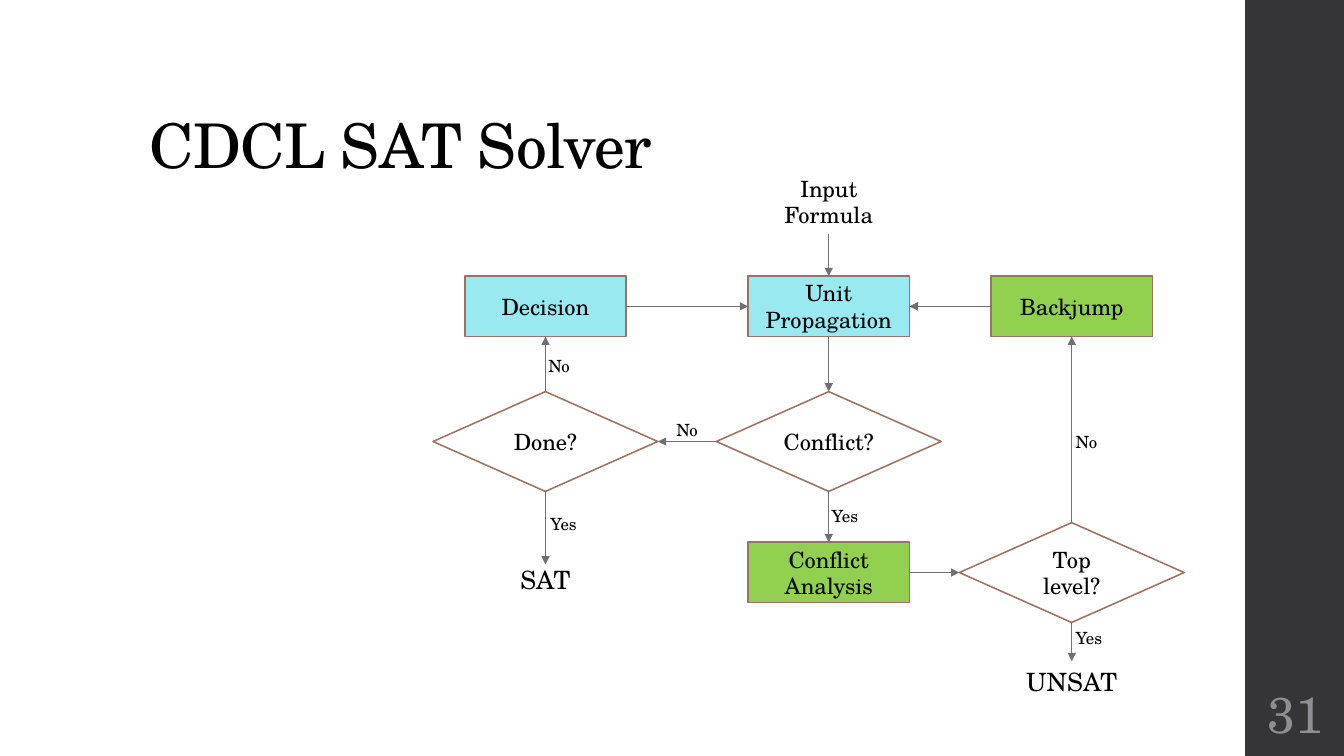
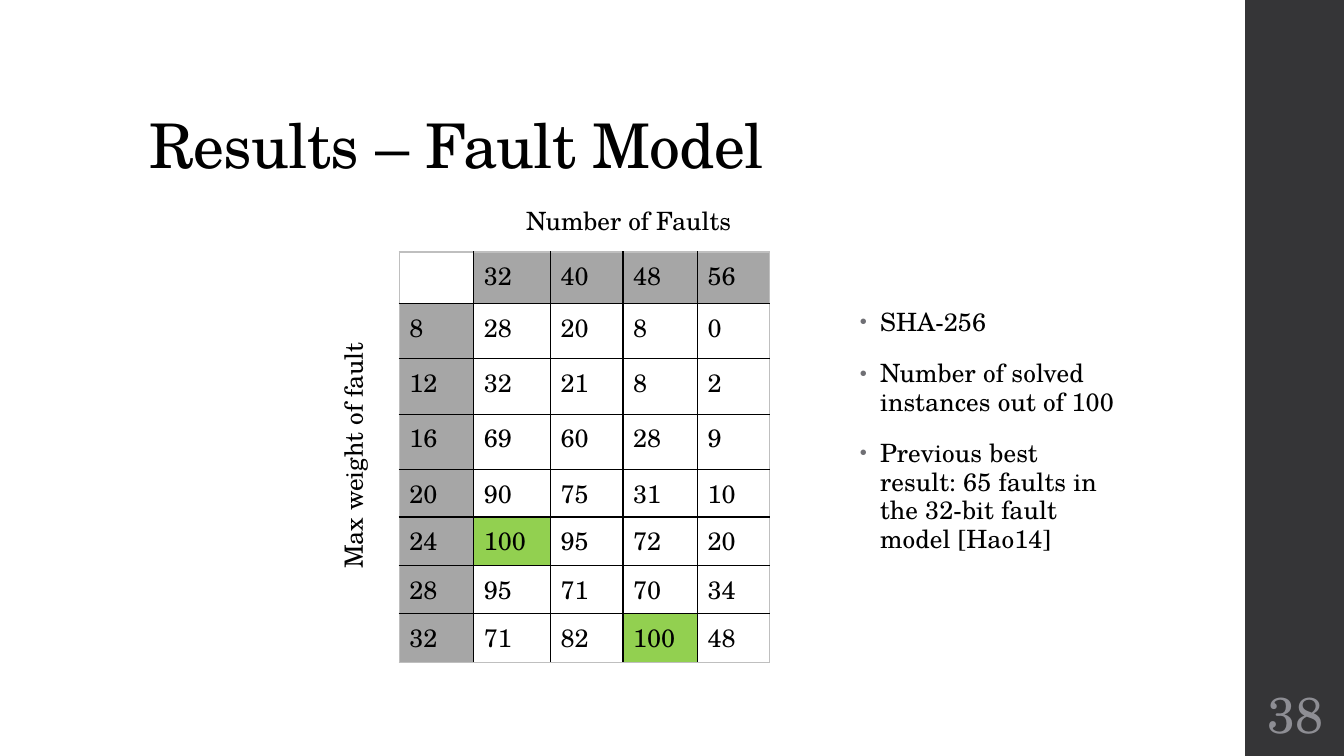
import pptx
import pptx.util
import pptx.dml.color
import pptx.enum.shapes
import pptx.enum.text
import pptx.oxml
import pptx.oxml.ns

Inches, Pt = pptx.util.Inches, pptx.util.Pt
SHAPE = pptx.enum.shapes.MSO_SHAPE
LINE = pptx.enum.shapes.MSO_CONNECTOR.STRAIGHT
ALIGN = pptx.enum.text.PP_ALIGN
ANCHOR = pptx.enum.text.MSO_ANCHOR
FIT = pptx.enum.text.MSO_AUTO_SIZE

FONT = "TeX Gyre Schola"
BLACK, WHITE, DARK, PALE = "000000", "FFFFFF", "353537", "8E8E94"
CYAN, GREEN, BROWN = "99E9F0", "92D050", "9B7362"
ARROW, HEAD, EDGE = "6F6F74", "A6A6A6", "BFBFBF"

TITLE = (1.38, 0.4, 10.6, 1.45)
BAND = (12.35, 0, 1, 7.5)
NUMBER = (12.35, 6.75, 1, 0.65)

TOP, LEFT, BOTTOM, RIGHT = range(4)
RECT, DIAMOND = (SHAPE.RECTANGLE, 1.6, 0.6), (SHAPE.DIAMOND, 2.23, 0.99)
# name: text, form, fill, size, centre x, centre y
NODES = {
    "input": ("Input Formula", (None, 1.36, 0.64), None, 16, 3.93, 0.32),
    "pick": ("Decision", RECT, CYAN, 16, 1.12, 1.36),
    "unit": ("Unit Propagation", RECT, CYAN, 16, 3.93, 1.36),
    "jump": ("Backjump", RECT, GREEN, 16, 6.34, 1.36),
    "done": ("Done?", DIAMOND, WHITE, 16, 1.12, 2.7),
    "clash": ("Conflict?", DIAMOND, WHITE, 16, 3.93, 2.7),
    "learn": ("Conflict Analysis", RECT, GREEN, 16, 3.93, 4),
    "level": ("Top level?", DIAMOND, WHITE, 16, 6.34, 4),
    "sat": ("SAT", (None, 0.73, 0.3), None, 18, 1.12, 4.07),
    "unsat": ("UNSAT", (None, 1.13, 0.4), None, 18, 6.34, 5.08),
}
# start, its side, end, its side, then label text and place
LINKS = [
    ("input", BOTTOM, "unit", TOP),
    ("pick", RIGHT, "unit", LEFT),
    ("jump", LEFT, "unit", RIGHT),
    ("unit", BOTTOM, "clash", TOP),
    ("learn", RIGHT, "level", LEFT),
    ("clash", LEFT, "done", RIGHT, "No", 2.32, 2.43),
    ("clash", BOTTOM, "learn", TOP, "Yes", 3.86, 3.29),
    ("done", TOP, "pick", BOTTOM, "No", 1.05, 1.8),
    ("done", BOTTOM, "sat", TOP, "Yes", 1.07, 3.37),
    ("level", TOP, "jump", BOTTOM, "No", 6.28, 2.55),
    ("level", BOTTOM, "unsat", TOP, "Yes", 6.28, 4.5),
]

COLS = [0.74, 0.76, 0.72, 0.74, 0.71]
ROWS = [0.51, 0.55, 0.55, 0.55, 0.47, 0.48, 0.48, 0.48]
DATA = [
    ["", 32, 40, 48, 56],
    [8, 28, 20, 8, 0],
    [12, 32, 21, 8, 2],
    [16, 69, 60, 28, 9],
    [20, 90, 75, 31, 10],
    [24, 100, 95, 72, 20],
    [28, 95, 71, 70, 34],
    [32, 71, 82, 100, 48],
]
POINTS = [
    "SHA-256",
    "Number of solved instances out of 100",
    "Previous best result: 65 faults in the 32-bit fault model [Hao14]",
]


def rgb(code):
    return pptx.dml.color.RGBColor.from_string(code)


def style(item, **vals):
    for key, val in vals.items():
        setattr(item, key, val)


def xml(text):
    return pptx.oxml.parse_xml(text.replace(">", f" {pptx.oxml.ns.nsdecls('a')}>", 1))


def place(box):
    return [Inches(v) for v in box]


def write(para, text, size, color=BLACK, track=None, **vals):
    """Add one run; track is the letter spacing in hundredths of a point."""
    style(para, **vals)
    run = para.add_run()
    style(run, text=text)
    style(run.font, name=FONT, size=Pt(size))
    run.font.color.rgb = rgb(color)
    if track:
        run._r.get_or_add_rPr().set("spc", str(track))


def block(slide, box, form, fill=None, line=None):
    shape = slide.shapes.add_shape(form, *place(box))
    shape.shadow.inherit = False
    shape.fill.solid()
    shape.fill.fore_color.rgb = rgb(fill)
    if line:
        shape.line.color.rgb = rgb(line)
        shape.line.width = Pt(1.1)
    else:
        shape.line.fill.background()
    return shape


def label(slide, box, text, size, color=BLACK, align=ALIGN.CENTER, wrap=True):
    shape = slide.shapes.add_textbox(*place(box))
    style(shape.text_frame, word_wrap=wrap, vertical_anchor=ANCHOR.MIDDLE)
    write(shape.text_frame.paragraphs[0], text, size, color, alignment=align)
    return shape


def frame(deck, text, number):
    """Add a slide with its title, side band and page number."""
    slide = deck.slides.add_slide(deck.slide_layouts[5])
    block(slide, BAND, SHAPE.RECTANGLE, DARK)
    title = slide.shapes.title
    style(title, **dict(zip(("left", "top", "width", "height"), place(TITLE))))
    style(title.text_frame, vertical_anchor=ANCHOR.BOTTOM, word_wrap=True,
          auto_size=FIT.NONE)
    write(title.text_frame.paragraphs[0], text, 44, track=-50,
          alignment=ALIGN.LEFT, line_spacing=0.9)
    page = label(slide, NUMBER, str(number), 36, PALE)
    edge = Inches(0.05)
    style(page.text_frame, margin_left=edge, margin_right=edge,
          margin_top=edge, margin_bottom=edge)
    return slide


def node(slide, box, text, form, fill, size):
    if form is None:
        return label(slide, box, text, size)
    shape = block(slide, box, form, fill, BROWN)
    style(shape.text_frame, word_wrap=True, vertical_anchor=ANCHOR.MIDDLE)
    write(shape.text_frame.paragraphs[0], text, size, alignment=ALIGN.CENTER)
    return shape


def arrow(slide, start, out, end, into):
    line = slide.shapes.add_connector(LINE, 0, 0, 0, 0)
    line.begin_connect(start, out)
    line.end_connect(end, into)
    line.line.color.rgb = rgb(ARROW)
    line.line.width = Pt(0.75)
    line.line._get_or_add_ln().append(xml('<a:tailEnd type="triangle"></a:tailEnd>'))
    line._element.spPr.append(xml("<a:effectLst></a:effectLst>"))


def flow(slide, left, top):
    made = {}
    for name, (text, (form, wide, high), fill, size, x, y) in NODES.items():
        box = (left + x - wide / 2, top + y - high / 2, wide, high)
        made[name] = node(slide, box, text, form, fill, size)
    for start, out, end, into, *note in LINKS:
        arrow(slide, made[start], out, made[end], into)
        if note:
            text, x, y = note
            label(slide, (left + x, top + y, 0.63, 0.3), text, 12,
                  align=ALIGN.LEFT)


def border(cell, row, col):
    """Rule a cell in black, with pale lines on the outside of the grid."""
    outer = {"L": col == 0, "R": col == len(COLS) - 1,
             "T": row == 0, "B": row == len(ROWS) - 1}
    for side, rim in outer.items():
        cell._tc.get_or_add_tcPr().append(xml(
            f'<a:ln{side} w="12700"><a:solidFill><a:srgbClr '
            f'val="{EDGE if rim else BLACK}"/></a:solidFill></a:ln{side}>'))


def grid(slide, left, top):
    wide, high = sum(COLS), sum(ROWS)
    table = slide.shapes.add_table(
        len(ROWS), len(COLS), *place((left, top, wide, high))).table
    style(table, first_row=False, horz_banding=False)
    for col, size in zip(table.columns, COLS):
        col.width = Inches(size)
    for row, size in zip(table.rows, ROWS):
        row.height = Inches(size)
    for r, vals in enumerate(DATA):
        for c, val in enumerate(vals):
            cell = table.cell(r, c)
            border(cell, r, c)
            head = (r == 0) != (c == 0)
            cell.fill.solid()
            cell.fill.fore_color.rgb = rgb(
                HEAD if head else GREEN if val == 100 else WHITE)
            if val != "":
                write(cell.text_frame.paragraphs[0], str(val), 18)
    label(slide, (left + 1.14, top - 0.51, 2.27, 0.4), "Number of Faults", 18,
          wrap=False)
    side = label(slide, (left - 1.7, top + 1.82, 2.48, 0.4),
                 "Max weight of fault", 18, wrap=False)
    side.rotation = 270


def bullets(slide, box):
    text = slide.shapes.add_textbox(*place(box)).text_frame
    text.word_wrap = True
    for i, point in enumerate(POINTS):
        para = text.add_paragraph() if i else text.paragraphs[0]
        write(para, point, 18, track=10, line_spacing=0.95,
              space_before=Pt(14 if i else 0), space_after=Pt(2))
        props = para._p.get_or_add_pPr()
        props.set("marL", str(Inches(0.2)))
        props.set("indent", str(-Inches(0.2)))
        for mark in (f'<a:buClr><a:srgbClr val="{ARROW}"/></a:buClr>',
                     '<a:buSzPct val="80000"></a:buSzPct>',
                     '<a:buFont typeface="Arial"></a:buFont>',
                     '<a:buChar char="•"></a:buChar>'):
            props.append(xml(mark))


def main():
    deck = pptx.Presentation()
    style(deck, slide_width=Inches(13.33), slide_height=Inches(7.5))
    flow(frame(deck, "CDCL SAT Solver", 31), 4.29, 1.68)
    slide = frame(deck, "Results – Fault Model", 38)
    grid(slide, 3.96, 2.5)
    bullets(slide, (8.43, 3.01, 2.73, 3.74))
    deck.save("out.pptx")


if __name__ == "__main__":
    main()
